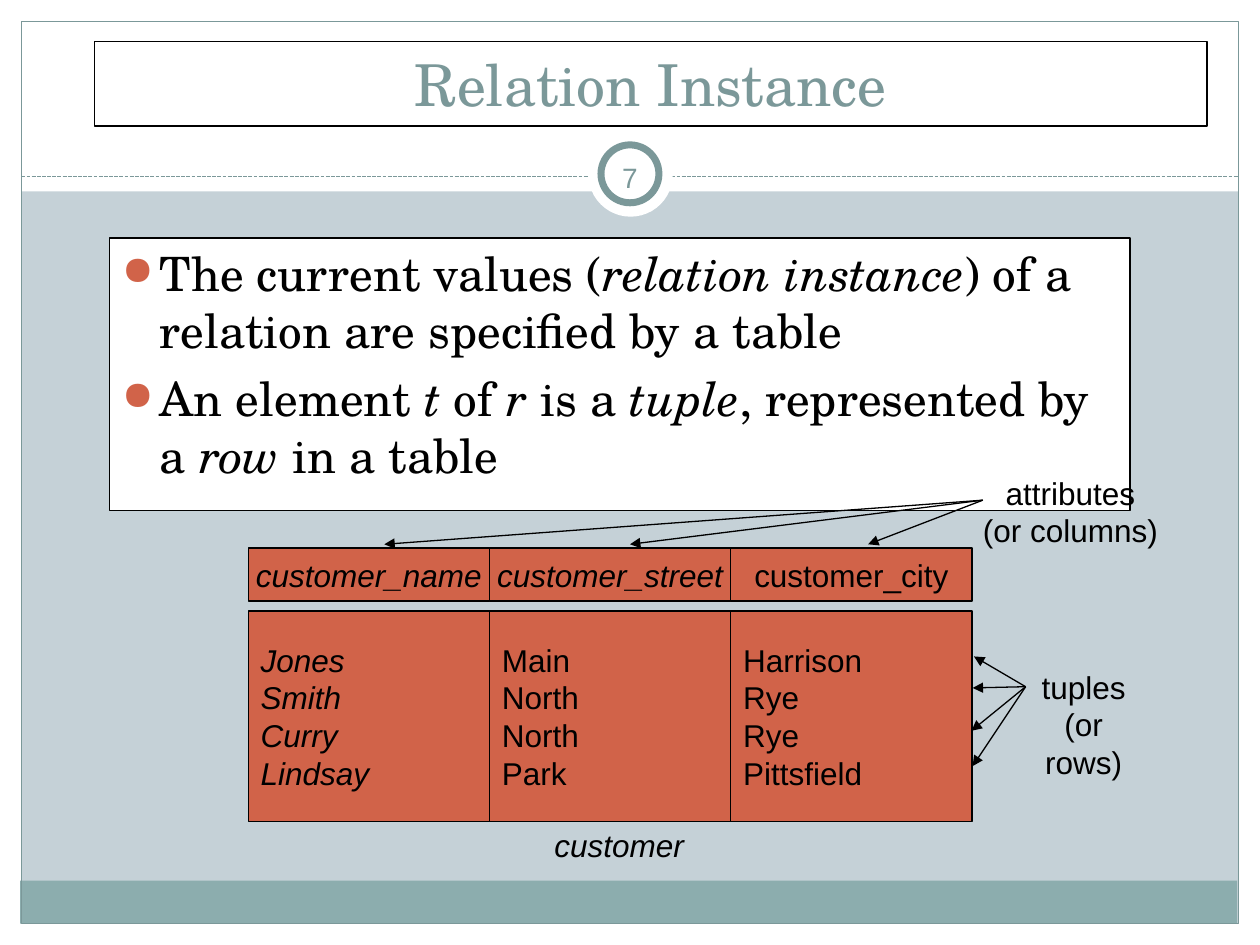
from dataclasses import dataclass

import pptx
import pptx.dml.color
import pptx.enum.dml
import pptx.enum.shapes
import pptx.enum.text
import pptx.oxml.ns
import pptx.util
from lxml import etree

Inches = pptx.util.Inches
Pt = pptx.util.Pt
Kind = pptx.enum.shapes.MSO_SHAPE
Align = pptx.enum.text.PP_ALIGN
Anchor = pptx.enum.text.MSO_ANCHOR
qn = pptx.oxml.ns.qn

SERIF, SANS = "TeX Gyre Schola", "Arial"
WHITE, BLACK, TEAL, RUST = "FFFFFF", "000000", "7B9899", "D16349"


@dataclass
class Box:
    left: float
    top: float
    width: float
    height: float


@dataclass
class Style:
    size: float = 18
    font: str = SANS
    color: str = BLACK
    align: Align = Align.CENTER
    anchor: Anchor = Anchor.MIDDLE
    wrap: bool = False
    bullet: bool = False


@dataclass
class Run:
    text: str
    italic: bool = False


@dataclass
class Column:
    header: Run
    values: list[Run]


@dataclass
class Arrow:
    start: tuple[float, float]
    end: tuple[float, float]


def rgb(code: str):
    return pptx.dml.color.RGBColor.from_string(code)


def add_panel(slide, box: Box, fill: str | None = None, line: str | None = None,
              weight: float = 0.75, kind: Kind = Kind.RECTANGLE):
    panel = slide.shapes.add_shape(kind, Inches(box.left), Inches(box.top),
                                   Inches(box.width), Inches(box.height))
    panel.shadow.inherit = False
    if fill:
        panel.fill.solid()
        panel.fill.fore_color.rgb = rgb(fill)
    else:
        panel.fill.background()
    if line:
        panel.line.color.rgb = rgb(line)
        panel.line.width = Pt(weight)
    else:
        panel.line.fill.background()
    return panel


def add_bullet(paragraph) -> None:
    props = paragraph._p.get_or_add_pPr()
    props.set("marL", str(Inches(0.3)))
    props.set("indent", str(-Inches(0.3)))
    color = etree.SubElement(props, qn("a:buClr"))
    etree.SubElement(color, qn("a:srgbClr"), val=RUST)
    etree.SubElement(props, qn("a:buSzPct"), val="85000")
    etree.SubElement(props, qn("a:buChar"), char="●")


def write(shape, paragraphs: list[list[Run]], style: Style) -> None:
    frame = shape.text_frame
    frame.word_wrap = style.wrap
    frame.vertical_anchor = style.anchor
    for index, runs in enumerate(paragraphs):
        paragraph = frame.add_paragraph() if index else frame.paragraphs[0]
        paragraph.alignment = style.align
        if style.bullet:
            add_bullet(paragraph)
            if index:
                paragraph.space_before = Pt(6.8)
        for part in runs:
            run = paragraph.add_run()
            run.text = part.text
            run.font.size = Pt(style.size)
            run.font.name = style.font
            run.font.italic = part.italic
            run.font.color.rgb = rgb(style.color)


def add_label(slide, box: Box, lines: list[Run], style: Style) -> None:
    label = slide.shapes.add_textbox(Inches(box.left), Inches(box.top),
                                     Inches(box.width), Inches(box.height))
    write(label, [[line] for line in lines], style)


def add_line(slide, start: tuple[float, float], end: tuple[float, float], color: str):
    line = slide.shapes.add_connector(pptx.enum.shapes.MSO_CONNECTOR.STRAIGHT,
                                      *map(Inches, start + end))
    line.line.color.rgb = rgb(color)
    line.line.width = Pt(0.75)
    etree.SubElement(line._element.spPr, qn("a:effectLst"))
    return line


def add_arrow(slide, arrow: Arrow) -> None:
    line = add_line(slide, arrow.start, arrow.end, BLACK)
    etree.SubElement(line.line._get_or_add_ln(), qn("a:tailEnd"), type="triangle")


def add_frame(slide) -> None:
    slide.background.fill.solid()
    slide.background.fill.fore_color.rgb = rgb("C5D1D7")
    margins = [Box(0, 7.33, 10, 0.17), Box(0, 0, 10, 1.52),
               Box(0, 0, 0.17, 7.5), Box(9.83, 0, 0.17, 7.5)]
    for margin in margins:
        add_panel(slide, margin, WHITE)
    add_panel(slide, Box(0.16, 6.99, 9.66, 0.34), "8CADAE")
    add_panel(slide, Box(0.17, 0.17, 9.66, 7.16), line=TEAL)
    divider = add_line(slide, (0.17, 1.4), (9.83, 1.4), TEAL)
    divider.line.dash_style = pptx.enum.dml.MSO_LINE.SQUARE_DOT
    add_panel(slide, Box(4.67, 1.05, 0.67, 0.67), WHITE, kind=Kind.OVAL)
    add_panel(slide, Box(4.77, 1.15, 0.46, 0.46), WHITE, TEAL, 4, Kind.OVAL)


def add_relation(slide, columns: list[Column]) -> None:
    left, width = 1.97, 1.915
    values_style = Style(align=Align.LEFT, wrap=True)
    for index, column in enumerate(columns):
        x = left + index * width
        values = add_panel(slide, Box(x, 4.85, width, 1.67), RUST, BLACK)
        write(values, [[value] for value in column.values], values_style)
        header = add_panel(slide, Box(x, 4.35, width, 0.42), RUST, BLACK)
        write(header, [[column.header]], Style())


def main() -> None:
    deck = pptx.Presentation()
    deck.slide_width, deck.slide_height = Inches(10), Inches(7.5)
    slide = deck.slides.add_slide(deck.slide_layouts[6])
    add_frame(slide)

    # Title and definitions
    title = add_panel(slide, Box(0.75, 0.33, 8.83, 0.67), WHITE, BLACK)
    write(title, [[Run("Relation Instance")]], Style(33, SERIF, TEAL, wrap=True))
    definitions = add_panel(slide, Box(0.87, 1.89, 8.1, 2.16), WHITE, BLACK)
    write(definitions, [
        [Run("The current values ("), Run("relation instance", True),
         Run(") of a relation are specified by a table")],
        [Run("An element "), Run("t", True), Run(" of "), Run("r", True),
         Run(" is a "), Run("tuple", True), Run(", represented by a "),
         Run("row ", True), Run("in a table")],
    ], Style(27, SERIF, align=Align.LEFT, anchor=Anchor.TOP, wrap=True, bullet=True))

    # Example relation
    add_relation(slide, [
        Column(Run("customer_name", True),
               [Run(name, True) for name in ("Jones", "Smith", "Curry", "Lindsay")]),
        Column(Run("customer_street", True),
               [Run(street) for street in ("Main", "North", "North", "Park")]),
        Column(Run("customer_city"),
               [Run(city) for city in ("Harrison", "Rye", "Rye", "Pittsfield")]),
    ])
    add_label(slide, Box(4.3, 6.51, 1.23, 0.4), [Run("customer", True)], Style())

    # Callouts for columns and rows
    callout = Style(anchor=Anchor.TOP)
    add_label(slide, Box(7.7, 3.71, 1.59, 0.7),
              [Run("attributes"), Run("(or columns)")], callout)
    add_label(slide, Box(8.01, 5.25, 1.18, 0.7),
              [Run("tuples"), Run("(or rows)")], callout)
    column_arrows = [Arrow((7.8, 3.97), (x, 4.32)) for x in (3.05, 5, 6.89)]
    row_ends = [(7.73, 5.21), (7.72, 5.46), (7.71, 5.8), (7.72, 6.08)]
    row_arrows = [Arrow((8.14, 5.45), end) for end in row_ends]
    for arrow in column_arrows + row_arrows:
        add_arrow(slide, arrow)

    # Slide number
    add_label(slide, Box(4.75, 1.17, 0.5, 0.48), [Run("7")],
              Style(16, color=TEAL, wrap=True))
    deck.save("out.pptx")


if __name__ == "__main__":
    main()
